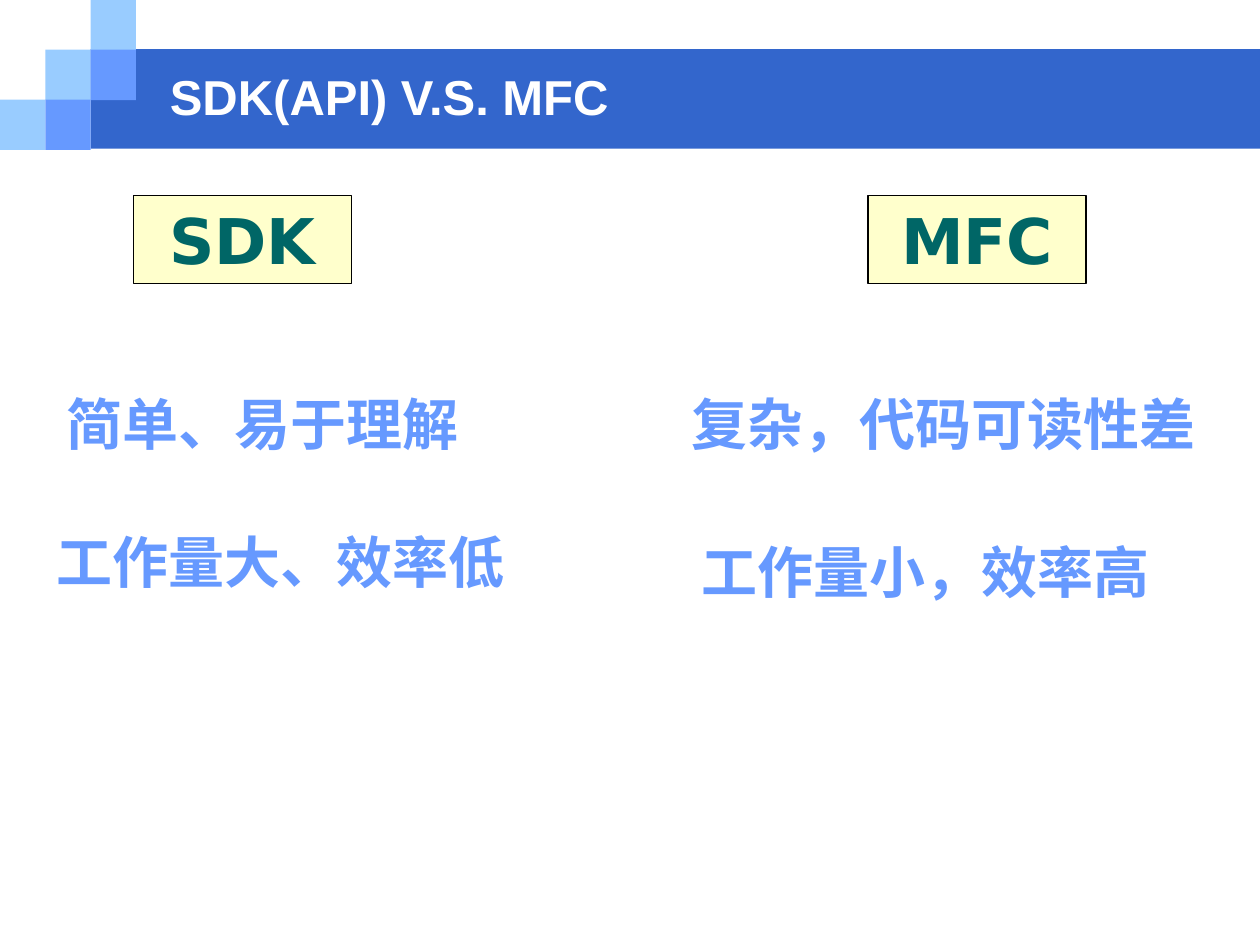
"""Build the slide that compares SDK (API) with MFC."""
from lxml.etree import SubElement
from pptx import Presentation
from pptx.dml.color import RGBColor
from pptx.enum.shapes import MSO_SHAPE as Shape
from pptx.enum.text import MSO_ANCHOR as Anchor, PP_ALIGN as Align
from pptx.oxml.ns import qn
from pptx.util import Inches, Pt

COLORS = {
    "band": "3366CC",
    "light": "99CCFF",
    "accent": "6699FF",
    "cream": "FFFFCC",
    "teal": "006666",
    "white": "FFFFFF",
    "black": "000000",
}


def color(name):
    return RGBColor.from_string(COLORS[name])


def write_text(frame, text, *, size, ink, font, align=Align.LEFT, anchor=Anchor.TOP):
    frame.word_wrap = True
    frame.vertical_anchor = anchor
    para = frame.paragraphs[0]
    para.alignment = align
    span = para.add_run()
    span.text = text
    span.font.size = Pt(size)
    span.font.bold = True
    span.font.name = font
    span.font.color.rgb = color(ink)
    SubElement(span.font._element, qn("a:ea"), typeface=font)


class SlideBuilder:
    def __init__(self, page, title_font="Arial", body_font="DejaVu Sans"):
        self.page = page
        self.title_font = title_font
        self.body_font = body_font

    def block(self, left, top, width, height, fill):
        box = self.page.shapes.add_shape(
            Shape.RECTANGLE, Inches(left), Inches(top), Inches(width), Inches(height)
        )
        box.shadow.inherit = False
        box.fill.solid()
        box.fill.fore_color.rgb = color(fill)
        box.line.fill.background()
        return box

    def text(self, left, top, width, height, text, **style):
        box = self.page.shapes.add_textbox(
            Inches(left), Inches(top), Inches(width), Inches(height)
        )
        write_text(box.text_frame, text, **style)

    def title(self, text):
        self.text(1.25, 0.5, 8.08, 0.53, text, size=28, ink="white",
                  font=self.title_font, anchor=Anchor.MIDDLE)

    def heading(self, left, text):
        box = self.block(left, 1.55, 1.73, 0.7, "cream")
        box.line.color.rgb = color("black")
        box.line.width = Pt(0.75)
        write_text(box.text_frame, text, size=36, ink="teal",
                   font=self.body_font, align=Align.CENTER)

    def point(self, left, top, width, text):
        self.text(left, top, width, 0.64, text, size=32, ink="accent",
                  font=self.body_font)

    def banner(self):
        self.block(0.72, 0.39, 9.28, 0.79, "band")
        step_x, step_y, height = 0.36, 0.395, 0.4
        steps = [(0, 2, "light"), (1, 1, "light"), (2, 0, "light"),
                 (2, 1, "accent"), (1, 2, "accent")]
        for column, row, fill in steps:
            self.block(column * step_x, row * step_y, step_x, height, fill)


def main():
    deck = Presentation()
    deck.slide_width, deck.slide_height = Inches(10), Inches(7.5)
    builder = SlideBuilder(deck.slides.add_slide(deck.slide_layouts[6]))
    builder.banner()
    builder.title("SDK(API) V.S. MFC")
    for left, text in [(1.06, "SDK"), (6.89, "MFC")]:
        builder.heading(left, text)
    points = [
        (0.43, 3.04, 3.39, "简单、易于理解"),
        (0.35, 4.14, 4.17, "工作量大、效率低"),
        (5.39, 3.04, 4.53, "复杂，代码可读性差"),
        (5.47, 4.22, 4.09, "工作量小，效率高"),
    ]
    for left, top, width, text in points:
        builder.point(left, top, width, text)
    deck.save("out.pptx")


if __name__ == "__main__":
    main()
